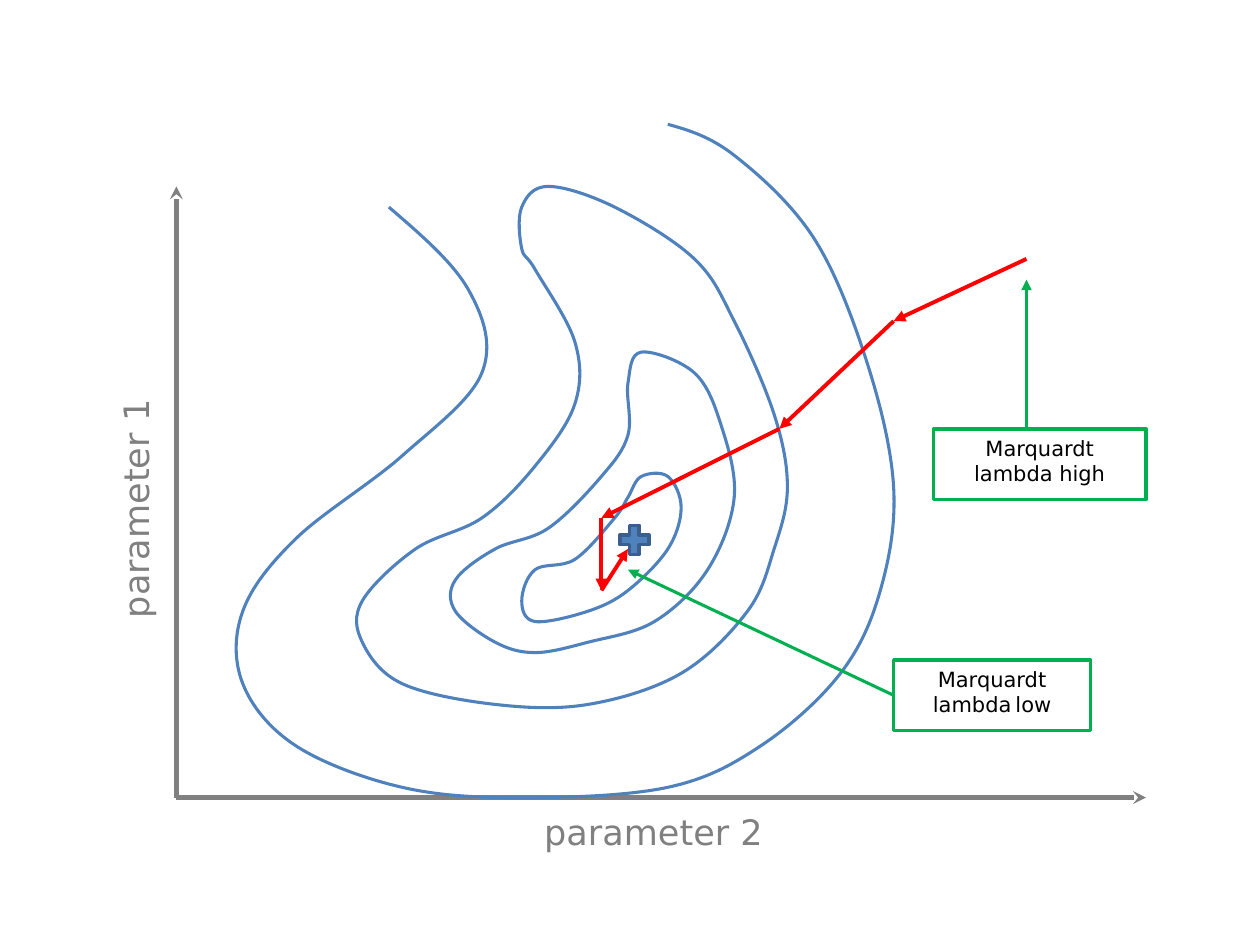
from lxml import etree
from pptx import Presentation
from pptx import util as u
from pptx.dml import color
from pptx.enum import shapes, text
from pptx.oxml import ns

Pt = u.Pt
COLUMN, ROW = 7.59, 5.92
GREY, BLUE, RED, GREEN = "808080", "4F81BD", "FF0000", "00B050"
SANS = ("DejaVu Sans", 12, "000000")
AXIS_FONT = ("DejaVu Sans", 20, GREY)
SPACE_FONT = ("Times New Roman", 9, "3333CC")
FRAME = {"word_wrap": True, "auto_size": text.MSO_AUTO_SIZE.NONE,
         "vertical_anchor": text.MSO_ANCHOR.TOP,
         "margin_left": Pt(7.2), "margin_right": Pt(7.2),
         "margin_top": Pt(3.6), "margin_bottom": Pt(3.6)}

CLOSED_CONTOURS = [
    [(33, 27), (30, 23), (27, 22), (26, 19), (27, 17), (31, 18), (34, 20),
     (37, 24), (38, 28), (37, 31), (35, 31), (34, 29)],
    [(34, 40), (34, 35), (32, 31), (28, 26), (24, 24), (21, 21), (21, 18),
     (24, 15), (27, 14), (31, 15), (36, 17), (40, 22), (42, 29), (41, 36),
     (39, 41), (35, 43)],
    [(27, 51), (30, 44), (30, 38), (27, 32), (23, 27), (18, 24), (14, 19),
     (14, 15), (17, 11), (24, 9), (31, 9), (38, 12), (43, 18), (45, 24),
     (46, 30), (45, 37), (42, 46), (39, 52), (33, 57), (28, 59), (26, 57),
     (26, 53)],
]
OPEN_CONTOUR = [
    (16, 57), (22, 49), (23, 41), (17, 33), (9, 25), (5, 18), (5, 11), (9, 5),
    (17, 1), (26, 0), (37, 1), (44, 5), (50, 12), (53, 20), (54, 30), (52, 42),
    (48, 54), (42, 62), (37, 65)]
DESCENT = [(64, 52), (54, 46), (45.4, 35.6), (32, 27), (32, 20), (34, 24)]


def rgb(value):
    """Turn a hex string into a colour."""
    return color.RGBColor.from_string(value)


def assign(target, values):
    """Set attributes from a dict of format values."""
    for name, value in values.items():
        setattr(target, name, value)


def paint(shape, fill, line=None, width=0):
    """Give a shape its fill and outline, without shadow."""
    shape.shadow.inherit = False
    if fill:
        shape.fill.solid()
        shape.fill.fore_color.rgb = rgb(fill)
    else:
        shape.fill.background()
    if line:
        shape.line.color.rgb = rgb(line)
        shape.line.width = Pt(width)
    else:
        shape.line.fill.background()


def write(shape, lines):
    """Write centred lines, each a list of (words, font) runs."""
    frame = shape.text_frame
    assign(frame, FRAME)
    for index, runs in enumerate(lines):
        paragraph = frame.add_paragraph() if index else frame.paragraphs[0]
        paragraph.alignment = text.PP_ALIGN.CENTER
        for words, (face, size, tint) in runs:
            run = paragraph.add_run()
            run.text = words
            assign(run.font, {"name": face, "size": Pt(size)})
            run.font.color.rgb = rgb(tint)


def arrow(plot, start, end, tint, width, head="triangle"):
    """Draw a straight arrow between two points."""
    line = plot.shapes.add_connector(
        shapes.MSO_CONNECTOR.STRAIGHT, *map(Pt, (*start, *end)))
    line.line.color.rgb = rgb(tint)
    line.line.width = Pt(width)
    properties = line.element.spPr
    etree.SubElement(properties.find(ns.qn("a:ln")), ns.qn("a:tailEnd"), type=head)
    etree.SubElement(properties, ns.qn("a:effectLst"))
    return line


def spline(knots, closed):
    """Return the Bezier points of a smooth curve through the knots."""
    count = len(knots)

    def control(index, sign):
        before, here, after = (knots[(index + step) % count] for step in (-1, 0, 1))
        return tuple(h + sign * (a - b) / 6 for b, h, a in zip(before, here, after))

    def middle(one, other):
        return tuple((a + b) / 2 for a, b in zip(one, other))

    points = []
    for index in range(count if closed else count - 1):
        following = (index + 1) % count
        leaving, arriving = control(index, 1), control(following, -1)
        if not closed and index == 0:
            leaving = middle(knots[0], arriving)
        if not closed and following == count - 1:
            arriving = middle(leaving, knots[-1])
        points += [leaving, arriving, knots[following]]
    return points


def contour(plot, knots, closed):
    """Draw one smooth contour line."""
    curve_points = [tuple(map(Pt, point)) for point in spline(knots, closed)]
    builder = plot.shapes.build_freeform(*map(Pt, knots[0]))
    builder.add_line_segments(curve_points, close=closed)
    outline = builder.convert_to_shape()
    paint(outline, None, BLUE, 1.75)
    segments = list(outline.element.iter(ns.qn("a:lnTo")))
    for first in range(0, len(segments), 3):
        curve = etree.Element(ns.qn("a:cubicBezTo"))
        segments[first].addprevious(curve)
        for segment in segments[first:first + 3]:
            curve.append(segment[0])
            segment.getparent().remove(segment)


def callout(plot, corner, width, height, lines):
    """Draw a green framed note."""
    note = plot.shapes.add_shape(
        shapes.MSO_SHAPE.RECTANGLE, *map(Pt, (*corner, width, height)))
    paint(note, "FFFFFF", GREEN, 2)
    write(note, lines)
    return note


def contour_plot(slide, left, bottom):
    """Draw axes, contours, descent steps and notes from the axis origin."""
    def at(column, row):
        return left + column * COLUMN, bottom - row * ROW

    plot = slide.shapes.add_group_shape()
    for tip in ((0, 59), (73, 0)):
        arrow(plot, at(0, 0), at(*tip), GREY, 2.5, "stealth")
    for knots in CLOSED_CONTOURS:
        contour(plot, [at(*knot) for knot in knots], True)
    contour(plot, [at(*knot) for knot in OPEN_CONTOUR], False)
    for start, end in zip(DESCENT, DESCENT[1:]):
        arrow(plot, at(*start), at(*end), RED, 2.25)
    arrow(plot, at(64, 35), at(64, 50), GREEN, 1.75)
    callout(plot, at(57, 35.6), 121.5, 40.5,
            [[("Marquardt", SANS)], [("lambda high", SANS)]])
    low = callout(plot, at(54, 13.3), 112.5, 40.5,
                  [[("Marquardt", SANS)],
                   [("lambda", SANS), (" ", SPACE_FONT), ("low", SANS)]])
    pointer = arrow(plot, at(54, 10), at(34, 22), GREEN, 1.75)
    pointer.begin_connect(low, 1)


def axis_title(slide, left, top, words, rotation=0):
    """Write the title of one axis."""
    title = slide.shapes.add_textbox(*map(Pt, (left, top, 310.5, 31.5)))
    title.rotation = rotation
    paint(title, "FFFFFF")
    write(title, [[(words, AXIS_FONT)]])


def minimum(slide, left, top, size):
    """Mark the minimum with a plus."""
    mark = slide.shapes.add_shape(
        shapes.MSO_SHAPE.CROSS, *map(Pt, (left, top, size, size)))
    mark.adjustments[0] = 0.33
    paint(mark, BLUE, "3A5F8C", 2)


def main():
    """Build the slide and save it."""
    deck = Presentation()
    assign(deck, {"slide_width": Pt(720), "slide_height": Pt(540)})
    slide = deck.slides.add_slide(deck.slide_layouts[6])
    contour_plot(slide, 100.8, 455.8)
    axis_title(slide, 218.2, 459.4, "parameter 2")
    axis_title(slide, -77.8, 275, "parameter 1", 270)
    minimum(slide, 354.2, 300.2, 16.6)
    deck.save("out.pptx")


if __name__ == "__main__":
    main()
